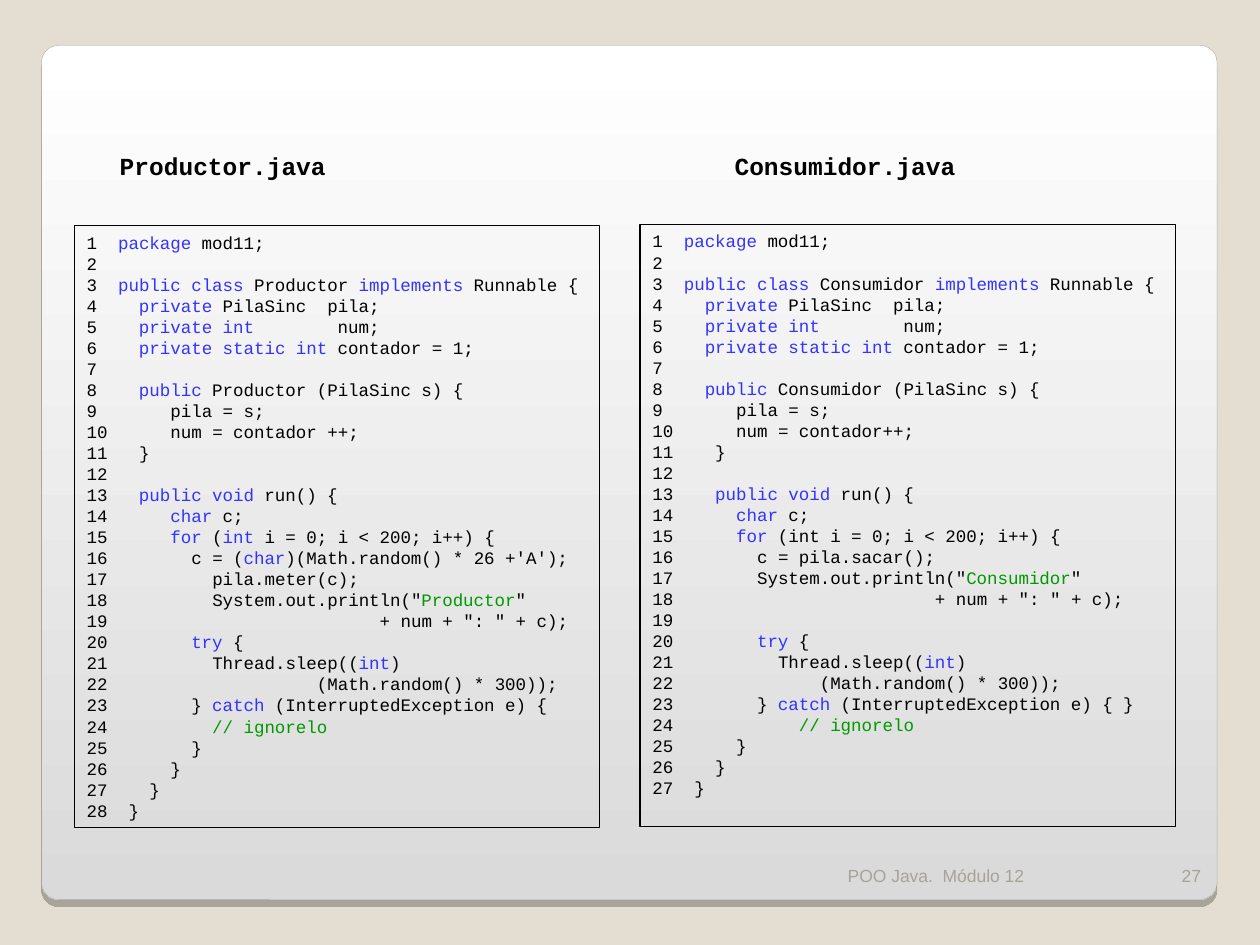
from lxml.etree import SubElement
from pptx import Presentation
from pptx.dml.color import RGBColor as RGB
from pptx.enum.shapes import MSO_SHAPE as Shape
from pptx.enum.text import MSO_ANCHOR as Anchor, PP_ALIGN as Align
from pptx.oxml.ns import qn
from pptx.util import Inches, Pt

BACK = RGB(0xE3, 0xDE, 0xD1)
WHITE = RGB(0xFF, 0xFF, 0xFF)
SILVER = RGB(0xDA, 0xDA, 0xDA)
EDGE = RGB(0xA4, 0xA3, 0xA3)
MUTED = RGB(0xA7, 0xA3, 0x99)
BLACK = RGB(0, 0, 0)
BLUE = RGB(0x33, 0x33, 0xFF)
GREEN = RGB(0, 0x99, 0)
MONO = "Courier New"
MARK = "`"
GREENS = ("Productor", "Consumidor", "// ignorelo")

MAKER = """\
`package` mod11;

`public class` Productor `implements` Runnable {
  `private` PilaSinc  pila;
  `private int`        num;
  `private static int` contador = 1;

  `public` Productor (PilaSinc s) {
     pila = s;
     num = contador ++;
  }

  `public void` run() {
     `char` c;
     `for` (`int` i = 0; i < 200; i++) {
       c = (`char`)(Math.random() * 26 +'A');
         pila.meter(c);
         System.out.println("`Productor`"
                         + num + ": " + c);
       `try` {
         Thread.sleep((`int`)
                   (Math.random() * 300));
       } `catch` (InterruptedException e) {
         `// ignorelo`
       }
     }
   }
 }"""

TAKER = """\
`package` mod11;

`public class` Consumidor `implements` Runnable {
  `private` PilaSinc  pila;
  `private int`        num;
  `private static int` contador = 1;

  `public` Consumidor (PilaSinc s) {
     pila = s;
     num = contador++;
   }

   `public void` run() {
     `char` c;
     `for` (int i = 0; i < 200; i++) {
       c = pila.sacar();
       System.out.println("`Consumidor`"
                        + num + ": " + c);

       `try` {
         Thread.sleep((`int`)
             (Math.random() * 300));
       } `catch` (InterruptedException e) { }
           `// ignorelo`
     }
   }
 }"""

PANELS = [
    ("Consumidor.java", 5.31, (5.08, 1.78, 4.25, 4.78), TAKER),
    ("Productor.java", 0.43, (0.59, 1.79, 4.17, 4.78), MAKER),
]
FOOTS = [
    ("POO Java.  Módulo 12", (6.63, 6.68, 2.5, 0.4), Align.LEFT),
    ("27", (9.13, 6.68, 0.5, 0.4), Align.RIGHT),
]


def style(run, size, color, face, bold=False):
    font = run.font
    font.size, font.name, font.bold = Pt(size), face, bold
    font.color.rgb = color


def add_box(slide, kind, spot):
    box = slide.shapes.add_shape(kind, *map(Inches, spot))
    box.shadow.inherit = False
    return box


def add_card(slide):
    card = add_box(slide, Shape.ROUNDED_RECTANGLE, (0.33, 0.36, 9.33, 6.78))
    card.adjustments[0] = 0.02
    card.fill.gradient()
    card.fill.gradient_angle = 270
    for stop, color, place in zip(card.fill.gradient_stops, (WHITE, SILVER), (0, 1)):
        stop.color.rgb = color
        stop.position = place
    card.line.color.rgb = EDGE
    card.line.width = Pt(0.17)
    effect = card.element.spPr.find(qn("a:effectLst"))
    shade = SubElement(effect, qn("a:outerShdw"), blurRad="0", dist=str(Pt(4)),
                       dir="5400000", algn="t", rotWithShape="0")
    tint = SubElement(shade, qn("a:srgbClr"), val="000000")
    SubElement(tint, qn("a:alpha"), val="25000")


def add_label(slide, text, spot, size, color, face, bold=False):
    box = slide.shapes.add_textbox(*map(Inches, spot))
    frame = box.text_frame
    frame.word_wrap = True
    frame.text = text
    para = frame.paragraphs[0]
    style(para.runs[0], size, color, face, bold)
    return frame, para


def add_code(slide, spot, code):
    box = add_box(slide, Shape.RECTANGLE, spot)
    box.fill.background()
    box.line.color.rgb = BLACK
    box.line.width = Pt(0.75)
    frame = box.text_frame
    frame.word_wrap = True
    frame.vertical_anchor = Anchor.TOP
    rows = [f"{num:<3}{row}".rstrip() for num, row in enumerate(code.split("\n"), 1)]
    frame.text = "\n".join(row.split(MARK)[0] for row in rows)
    for para, row in zip(frame.paragraphs, rows):
        para.alignment = Align.LEFT
        style(para.runs[0], 10, BLACK, MONO)
        for num, part in enumerate(row.split(MARK)[1:]):
            if part:
                run = para.add_run()
                run.text = part
                tint = GREEN if part in GREENS else BLUE
                style(run, 10, BLACK if num % 2 else tint, MONO)


def main():
    deck = Presentation()
    deck.slide_width, deck.slide_height = Inches(10), Inches(7.5)
    slide = deck.slides.add_slide(deck.slide_layouts[6])
    slide.background.fill.solid()
    slide.background.fill.fore_color.rgb = BACK
    add_card(slide)
    for text, spot, align in FOOTS:
        frame, para = add_label(slide, text, spot, 10, MUTED, "Arial")
        frame.vertical_anchor = Anchor.BOTTOM
        para.alignment = align
    for title, left, spot, code in PANELS:
        add_code(slide, spot, code)
        frame, para = add_label(slide, title, (left, 1.15, 2.75, 0.34),
                                14, BLACK, MONO, True)
        frame.margin_left = Inches(0.52)
        para.space_before = para.space_after = Pt(5)
    deck.save("out.pptx")


if __name__ == "__main__":
    main()
